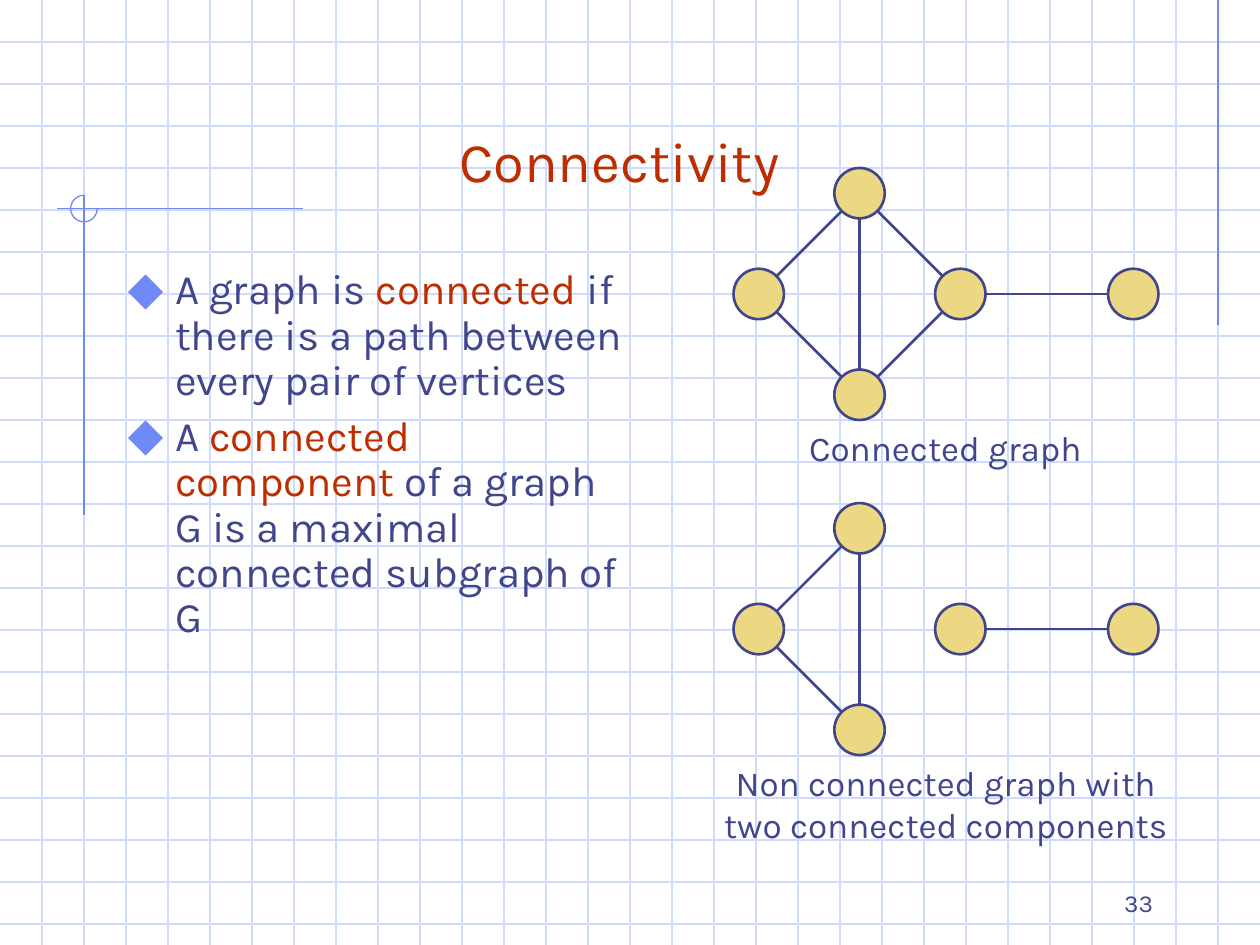
from dataclasses import dataclass
from math import hypot

from lxml import etree
from pptx import Presentation
from pptx.dml.color import RGBColor
from pptx.enum.shapes import MSO_CONNECTOR, MSO_SHAPE
from pptx.enum.text import MSO_ANCHOR, PP_ALIGN
from pptx.oxml.ns import qn
from pptx.util import Pt

STRAIGHT = MSO_CONNECTOR.STRAIGHT
OVAL, ARC = MSO_SHAPE.OVAL, MSO_SHAPE.ARC
TOP, BOTTOM = MSO_ANCHOR.TOP, MSO_ANCHOR.BOTTOM
LEFT, CENTER, RIGHT = PP_ALIGN.LEFT, PP_ALIGN.CENTER, PP_ALIGN.RIGHT


@dataclass(frozen=True)
class Theme:
    font: str = "Karla"
    text: str = "40458C"
    accent: str = "BE2D00"
    node: str = "ECD882"
    grid: str = "CFDBFD"
    rule: str = "6F89F7"
    title_size: float = 32
    body_size: float = 24
    caption_size: float = 20
    number_size: float = 14
    thin: float = 0.75
    thick: float = 1.5


THEME = Theme()
W, H = 720, 540
GRID_STEP = 24
NODE = 28.8

BODY = [
    [("A graph is ", THEME.text), ("connected ", THEME.accent),
     ("if there is a path between every pair of vertices", THEME.text)],
    [("A ", THEME.text), ("connected component", THEME.accent),
     (" of a graph G is a maximal connected subgraph of G", THEME.text)],
]
SPLIT_EDGES = [("top", "left"), ("bottom", "left"), ("top", "bottom"), ("right", "far")]
FULL_EDGES = SPLIT_EDGES + [("bottom", "right"), ("top", "right")]


def add_line(shapes, x1, y1, x2, y2, color, width):
    c = shapes.add_connector(STRAIGHT, Pt(x1), Pt(y1), Pt(x2), Pt(y2))
    c.line.color.rgb = RGBColor.from_string(color)
    c.line.width = Pt(width)
    etree.SubElement(c._element.spPr, qn("a:effectLst"))


def add_run(p, text, size, color):
    r = p.add_run()
    r.text = text
    r.font.name = THEME.font
    r.font.size = Pt(size)
    r.font.color.rgb = RGBColor.from_string(color)


def add_frame(s, x, y, w, h, anchor=TOP):
    tf = s.shapes.add_textbox(Pt(x), Pt(y), Pt(w), Pt(h)).text_frame
    tf.word_wrap = True
    tf.vertical_anchor = anchor
    return tf


def add_label(s, x, y, w, h, text, size, color=THEME.text, align=CENTER, anchor=TOP):
    p = add_frame(s, x, y, w, h, anchor).paragraphs[0]
    p.alignment = align
    add_run(p, text, size, color)


def add_bullet(p):
    pPr = p._p.get_or_add_pPr()
    pPr.set("marL", str(Pt(27)))
    pPr.set("indent", str(-Pt(27)))
    color = etree.SubElement(pPr, qn("a:buClr"))
    etree.SubElement(color, qn("a:srgbClr"), val=THEME.rule)
    etree.SubElement(pPr, qn("a:buSzPct"), val="110000")
    etree.SubElement(pPr, qn("a:buFont"), typeface=THEME.font)
    etree.SubElement(pPr, qn("a:buChar"), char="◆")


def add_background(s, x, y, w, h):
    shapes = s.shapes.add_group_shape().shapes
    for dy in range(GRID_STEP, h, GRID_STEP):
        add_line(shapes, x, y + dy, x + w, y + dy, THEME.grid, THEME.thin)
    for dx in range(GRID_STEP, w, GRID_STEP):
        add_line(shapes, x + dx, y, x + dx, y + h, THEME.grid, THEME.thin)


def add_ornament(s, x, y, w, h):
    right = x + w - GRID_STEP
    cx, cy, radius = x + 48, y + 119.2, 7.6
    for ends in [(right, y, right, y + 186),
                 (x + 173, cy, x + 32.5, cy),
                 (cx, cy - radius, cx, y + 294.5)]:
        add_line(s.shapes, *ends, THEME.rule, THEME.thin)
    sp = s.shapes.add_shape(ARC, Pt(cx - radius), Pt(cy - radius), Pt(2 * radius), Pt(2 * radius))
    sp.adjustments[0] = 0
    sp.adjustments[1] = 270 * 0.6
    sp.shadow.inherit = False
    sp.fill.background()
    sp.line.color.rgb = RGBColor.from_string(THEME.rule)
    sp.line.width = Pt(THEME.thin)


def add_body(s, x, y, w, h):
    tf = add_frame(s, x, y, w, h)
    for i, runs in enumerate(BODY):
        p = tf.add_paragraph() if i else tf.paragraphs[0]
        add_bullet(p)
        p.alignment = LEFT
        p.line_spacing = 0.9
        p.space_before = Pt(6 if i else 0)
        for text, color in runs:
            add_run(p, text, THEME.body_size, color)


def add_graph(s, x, y, w, h, edges):
    shapes = s.shapes.add_group_shape().shapes
    radius = NODE / 2
    step = (h - NODE) / 2
    x0, y0 = x + radius, y + radius
    centers = {
        "left": (x0, y0 + step),
        "top": (x0 + step, y0),
        "bottom": (x0 + step, y0 + 2 * step),
        "right": (x0 + 2 * step, y0 + step),
        "far": (x + w - radius, y0 + step),
    }
    for cx, cy in centers.values():
        sp = shapes.add_shape(OVAL, Pt(cx - radius), Pt(cy - radius), Pt(NODE), Pt(NODE))
        sp.shadow.inherit = False
        sp.fill.solid()
        sp.fill.fore_color.rgb = RGBColor.from_string(THEME.node)
        sp.line.color.rgb = RGBColor.from_string(THEME.text)
        sp.line.width = Pt(THEME.thick)
    for a, b in edges:
        (ax, ay), (bx, by) = centers[a], centers[b]
        length = hypot(bx - ax, by - ay)
        dx, dy = radius * (bx - ax) / length, radius * (by - ay) / length
        add_line(shapes, ax + dx, ay + dy, bx - dx, by - dy, THEME.text, THEME.thick)


def main():
    prs = Presentation()
    prs.slide_width, prs.slide_height = Pt(W), Pt(H)
    s = prs.slides.add_slide(prs.slide_layouts[6])
    add_background(s, 0, 0, W, H)
    add_ornament(s, 0, 0, W, H)
    add_label(s, 48, 24, 612, 90, "Connectivity", THEME.title_size, THEME.accent, anchor=BOTTOM)
    add_body(s, 66, 150, 300, 324)
    add_graph(s, 419.2, 96, 242.8, 144, FULL_EDGES)
    add_label(s, 427.8, 240, 225, 31.5, "Connected graph", THEME.caption_size)
    add_graph(s, 419.2, 287.5, 242.8, 144, SPLIT_EDGES)
    add_label(s, 396.8, 431.5, 287.5, 55.5,
              "Non connected graph with two connected components", THEME.caption_size)
    add_label(s, 516, 492, 150, 36, "33", THEME.number_size, align=RIGHT, anchor=BOTTOM)
    prs.save("out.pptx")


if __name__ == "__main__":
    main()
